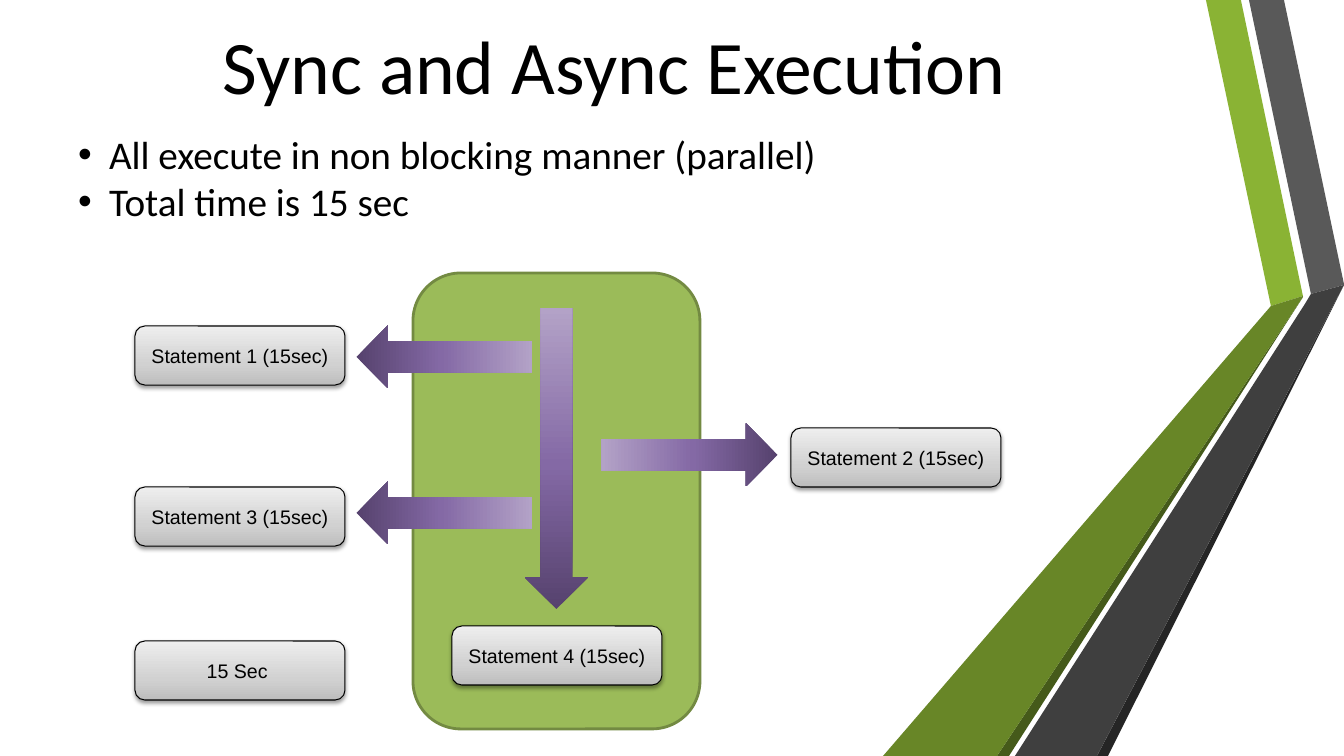
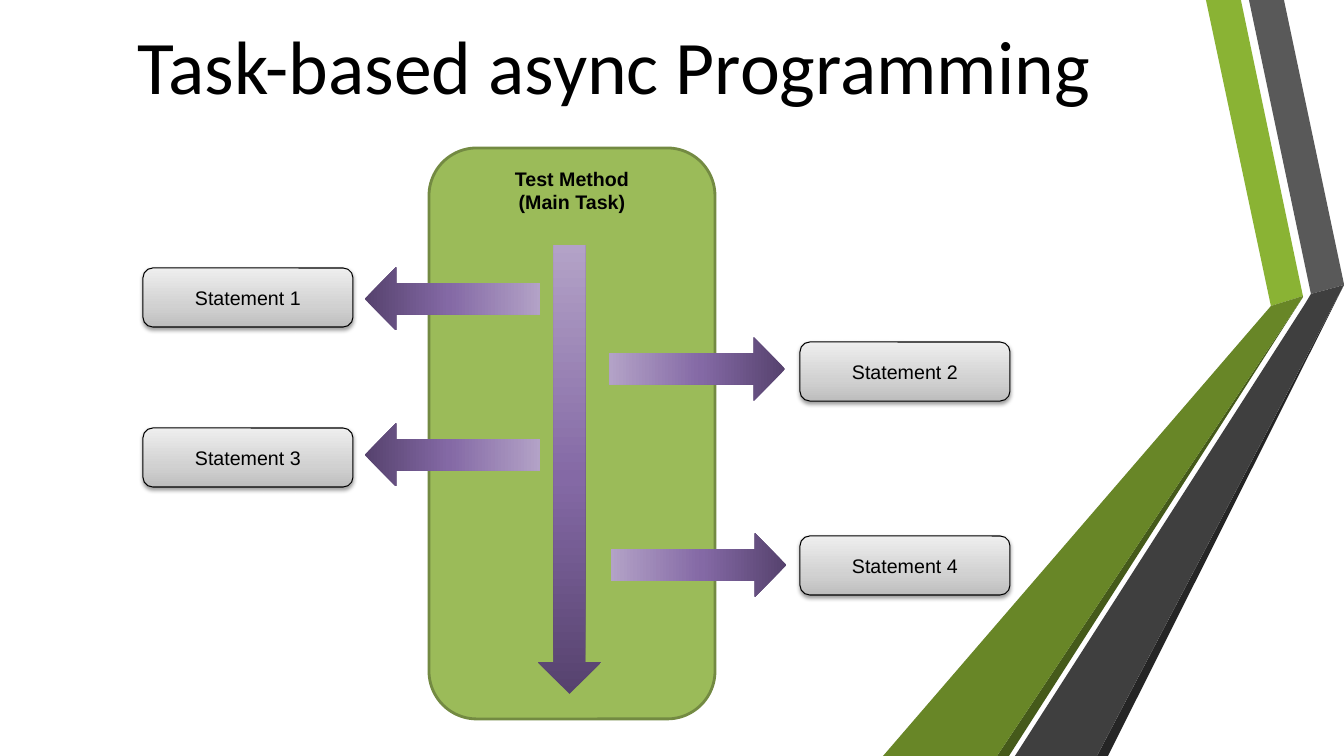
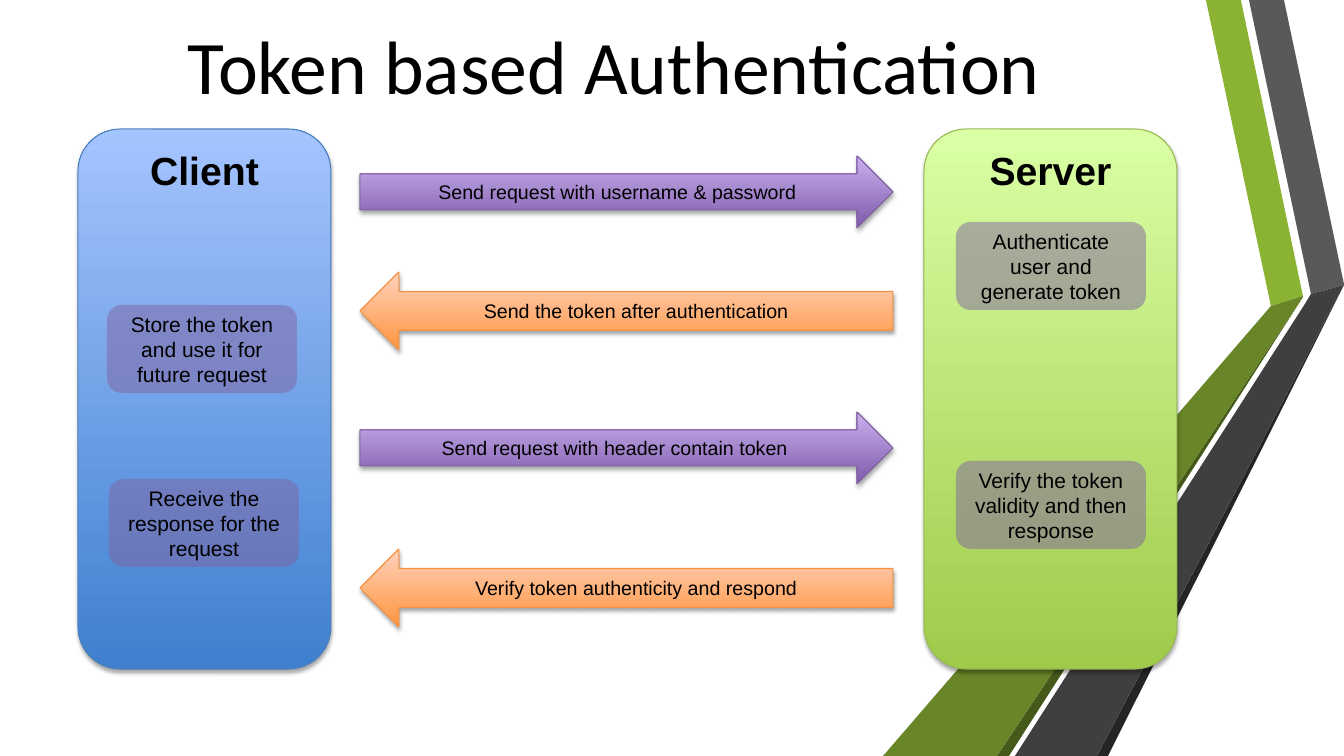
"""Build three slides on async execution and token authentication."""
from lxml import etree
from pptx import Presentation, util as u
from pptx.dml.color import RGBColor
from pptx.enum import shapes, text
from pptx.oxml.ns import qn

PX = 914400 / 100.8
KIND = shapes.MSO_SHAPE
COLORS = {
    "black": "000000", "lime": "8AB334", "olive": "688627", "moss": "455A1A",
    "gray": "595959", "charcoal": "3F3F3F", "coal": "252525",
    "panel": "9BBB59", "panel_line": "738A42", "note": "8064A2",
    "box_dark": "BDBDBD", "box_mid": "D1D1D1", "box_light": "EEEEEE",
    "flow_dark": "56426E", "flow_mid": "8469A5", "flow_light": "B3A2C7",
    "server_dark": "A0CA4A", "server_light": "DAFFA5", "server_line": "98B955",
    "client_dark": "3F80CE", "client_light": "A4C4FF", "client_line": "4B7EBC",
    "request_dark": "7F5BAB", "request_light": "C8B0ED", "request_line": "7D60A0",
    "reply_dark": "FF953E", "reply_light": "FFD2BD", "reply_line": "F69240",
}
LOOKS = {
    "panel": {"fill": "panel", "line": "panel_line", "width": 2, "top": True,
              "font": {"size": u.Pt(14), "bold": True}},
    "box": {"stops": [(0, "box_dark"), (35, "box_mid"), (100, "box_light")],
            "line": "black", "shadow": (38, 1.6), "font": {"size": u.Pt(14)}},
    "flow": {"stops": [(0, "flow_dark"), (48, "flow_mid"), (100, "flow_light")]},
    "note": {"fill": "note", "alpha": 50, "font": {"size": u.Pt(15)}},
}
for name in ("server", "client", "request", "reply"):
    is_side = name in ("server", "client")
    LOOKS[name] = {
        "stops": [(0, f"{name}_dark"), (100, f"{name}_light")],
        "line": f"{name}_line", "shadow": (35, 1.8), "top": is_side,
        "font": {"size": u.Pt(28 if is_side else 14), "bold": is_side},
    }
BANDS = [
    ("lime", [(1241, 0), (1206, 0), (1271, 306), (1303, 296)]),
    ("gray", [(1284, 0), (1249, 0), (1311, 294), (1344, 285), (1344, 284)]),
    ("coal", [(1344, 285), (1097, 756), (1108, 756)]),
    ("moss", [(1303, 297), (997, 756), (1009, 756)]),
    ("olive", [(1303, 296), (1271, 306), (883, 756), (997, 756), (1303, 297)]),
    ("charcoal", [(1344, 285), (1311, 294), (1305, 304), (1015, 756), (1097, 756)]),
]


def rgb(name):
    return RGBColor.from_string(COLORS[name])


def add_block(s, kind, box, look, lines=(), rotation=0):
    style = LOOKS[look]
    sp = s.shapes.add_shape(kind, *[round(v * PX) for v in box])
    sp.rotation = rotation
    sp.shadow.inherit = False
    if "stops" in style:
        sp.fill.gradient()
        sp.fill.gradient_angle = 90
        stops = next(sp.element.iter(qn("a:gsLst")))
        stops.clear()
        for pos, color in style["stops"]:
            stop = etree.SubElement(stops, qn("a:gs"), pos=str(pos * 1000))
            etree.SubElement(stop, qn("a:srgbClr"), val=COLORS[color])
    else:
        sp.fill.solid()
        sp.fill.fore_color.rgb = rgb(style["fill"])
    if "alpha" in style:
        color = next(sp.element.spPr.iter(qn("a:srgbClr")))
        etree.SubElement(color, qn("a:alpha"), val=str(style["alpha"] * 1000))
    if "line" in style:
        sp.line.color.rgb = rgb(style["line"])
        sp.line.width = u.Pt(style.get("width", 0.75))
    else:
        sp.line.fill.background()
    if "shadow" in style:
        alpha, dist = style["shadow"]
        effects = next(sp.element.iter(qn("a:effectLst")))
        shadow = etree.SubElement(
            effects, qn("a:outerShdw"), blurRad=str(u.Pt(3.1)),
            dist=str(u.Pt(dist)), dir="5400000", rotWithShape="0")
        color = etree.SubElement(shadow, qn("a:srgbClr"), val=COLORS["black"])
        etree.SubElement(color, qn("a:alpha"), val=str(alpha * 1000))
    tf = sp.text_frame
    tf.word_wrap = True
    tf.vertical_anchor = text.MSO_ANCHOR.TOP if style.get("top") else text.MSO_ANCHOR.MIDDLE
    for i, line in enumerate(lines):
        p = tf.add_paragraph() if i else tf.paragraphs[0]
        p.alignment = text.PP_ALIGN.CENTER
        r = p.add_run()
        r.text = line
        for key, value in {"name": "Arial", **style["font"]}.items():
            setattr(r.font, key, value)
        r.font.color.rgb = rgb("black")
    return sp


prs = Presentation()
prs.slide_width, prs.slide_height = round(1344 * PX), round(756 * PX)
master = prs.slide_master
title = master.placeholders[0]
for key, value in {"left": 68, "top": 18, "width": 1092, "height": 92}.items():
    setattr(title, key, round(value * PX))
for side in ("left", "top", "right", "bottom"):
    setattr(title.text_frame, f"margin_{side}", 0)
title.text_frame.auto_size = text.MSO_AUTO_SIZE.NONE
title_style = next(master.element.iter(qn("p:titleStyle")))
next(title_style.iter(qn("a:defRPr"))).set("sz", "5400")

slides = []
for layout, heading in [(1, "Sync and Async Execution"),
                        (5, "Task-based async Programming"),
                        (5, "Token based Authentication")]:
    s = prs.slides.add_slide(prs.slide_layouts[layout])
    s.shapes.title.text = heading
    slides.append(s)
execution, tasks, tokens = slides

for color, points in BANDS:
    outline = execution.shapes.build_freeform(*points[0], scale=PX)
    outline.add_line_segments(points[1:], close=True)
    band = outline.convert_to_shape()
    band.shadow.inherit = False
    band.fill.solid()
    band.fill.fore_color.rgb = rgb(color)
    band.line.fill.background()
    master.shapes.element.append(band.element)

body = execution.placeholders[1]
for key, value in {"left": 76, "top": 130, "width": 1192, "height": 101}.items():
    setattr(body, key, round(value * PX))
tf = body.text_frame
tf.auto_size = text.MSO_AUTO_SIZE.NONE
for side in ("left", "top", "right", "bottom"):
    setattr(tf, f"margin_{side}", 0)
tf.text = "All execute in non blocking manner (parallel)\nTotal time is 15 sec"
for p in tf.paragraphs:
    p.space_before = u.Pt(0)
    for key, value in {"marL": 33, "indent": -31}.items():
        p._p.get_or_add_pPr().set(key, str(round(value * PX)))
    for key, value in {"name": "Calibri", "size": u.Pt(28)}.items():
        setattr(p.runs[0].font, key, value)
    p.runs[0].font.color.rgb = rgb("black")

DIAGRAMS = [
    (execution, (413, 273, 287, 456), [],
     [(135, 326, "Statement 1 (15sec)"), (791, 428, "Statement 2 (15sec)"),
      (135, 487, "Statement 3 (15sec)"), (452, 626, "Statement 4 (15sec)"),
      (135, 641, "15 Sec ")],
     [(525, 308, 301, 0), (413, 269, 176, 90), (413, 425, 176, 90),
      (658, 367, 176, 270)]),
    (tasks, (429, 148, 286, 571), ["Test Method", "(Main Task)"],
     [(143, 268, "Statement 1"), (800, 342, "Statement 2"),
      (143, 428, "Statement 3"), (800, 536, "Statement 4")],
     [(538, 245, 449, 0), (421, 211, 176, 90), (421, 367, 176, 90),
      (666, 281, 176, 270), (667, 477, 176, 270)]),
]
for s, panel, caption, boxes, arrows in DIAGRAMS:
    add_block(s, KIND.ROUNDED_RECTANGLE, panel, "panel", caption)
    for x, y, label in boxes:
        add_block(s, KIND.ROUNDED_RECTANGLE, (x, y, 210, 59), "box", [label])
    for x, y, length, rotation in arrows:
        add_block(s, KIND.DOWN_ARROW, (x, y, 63, length), "flow", rotation=rotation)

for x, look, label in [(924, "server", "Server"), (78, "client", "Client")]:
    add_block(tokens, KIND.ROUNDED_RECTANGLE, (x, 129, 253, 540), look, [label])
for y, look, label in [(156, "request", "Send request with username & password"),
                       (272, "reply", "Send the token after authentication"),
                       (412, "request", "Send request with header contain token "),
                       (549, "reply", "Verify token authenticity and respond")]:
    kind, height = (KIND.RIGHT_ARROW, 72) if look == "request" else (KIND.LEFT_ARROW, 78)
    add_block(tokens, kind, (360, y, 533, height), look, [label])
for x, y, label in [(956, 222, "Authenticate user and generate token"),
                    (107, 305, "Store the token and use it for future request"),
                    (956, 461, "Verify the token validity and then response"),
                    (109, 479, "Receive the response for the request")]:
    add_block(tokens, KIND.ROUNDED_RECTANGLE, (x, y, 190, 88), "note", [label])

prs.save("out.pptx")
